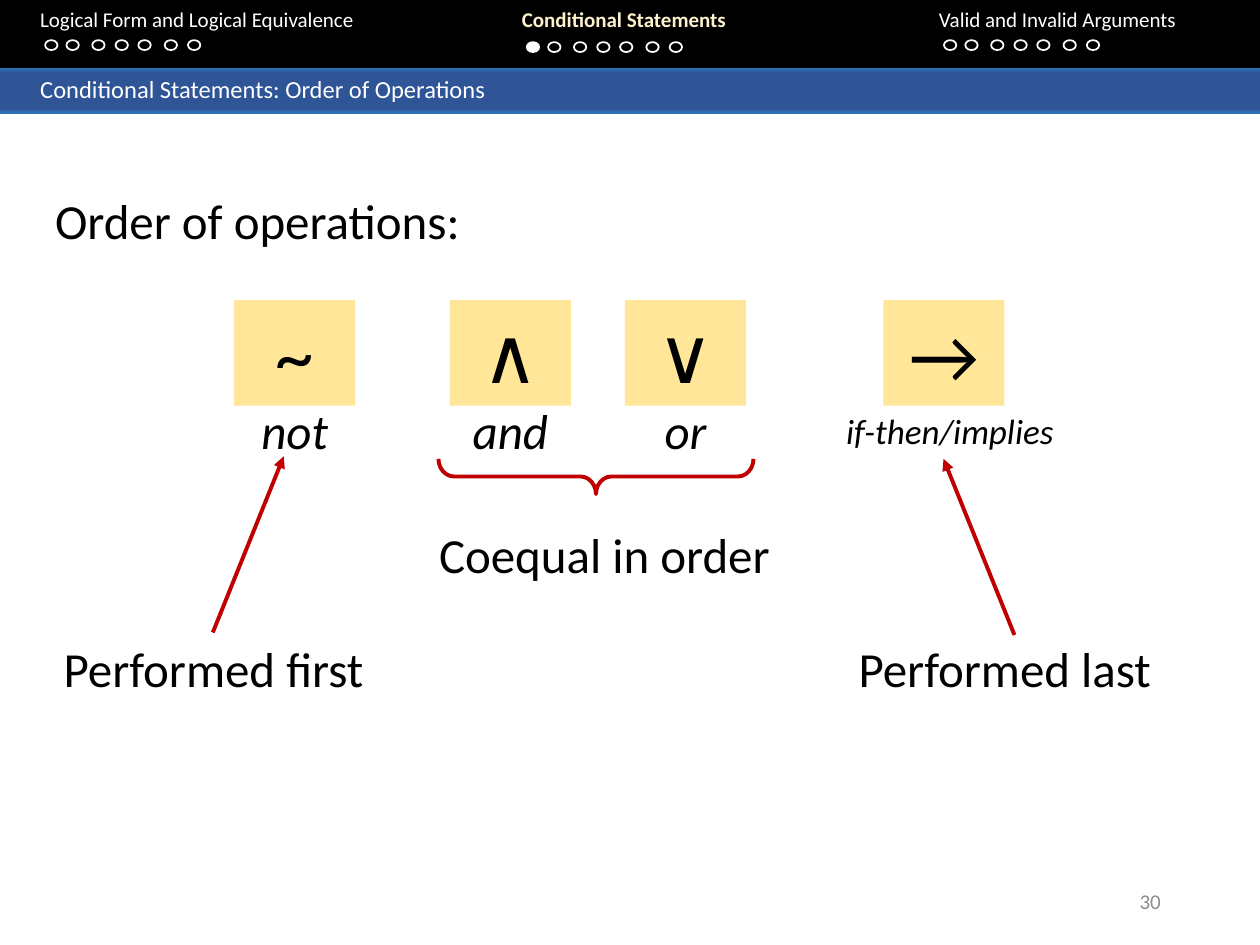
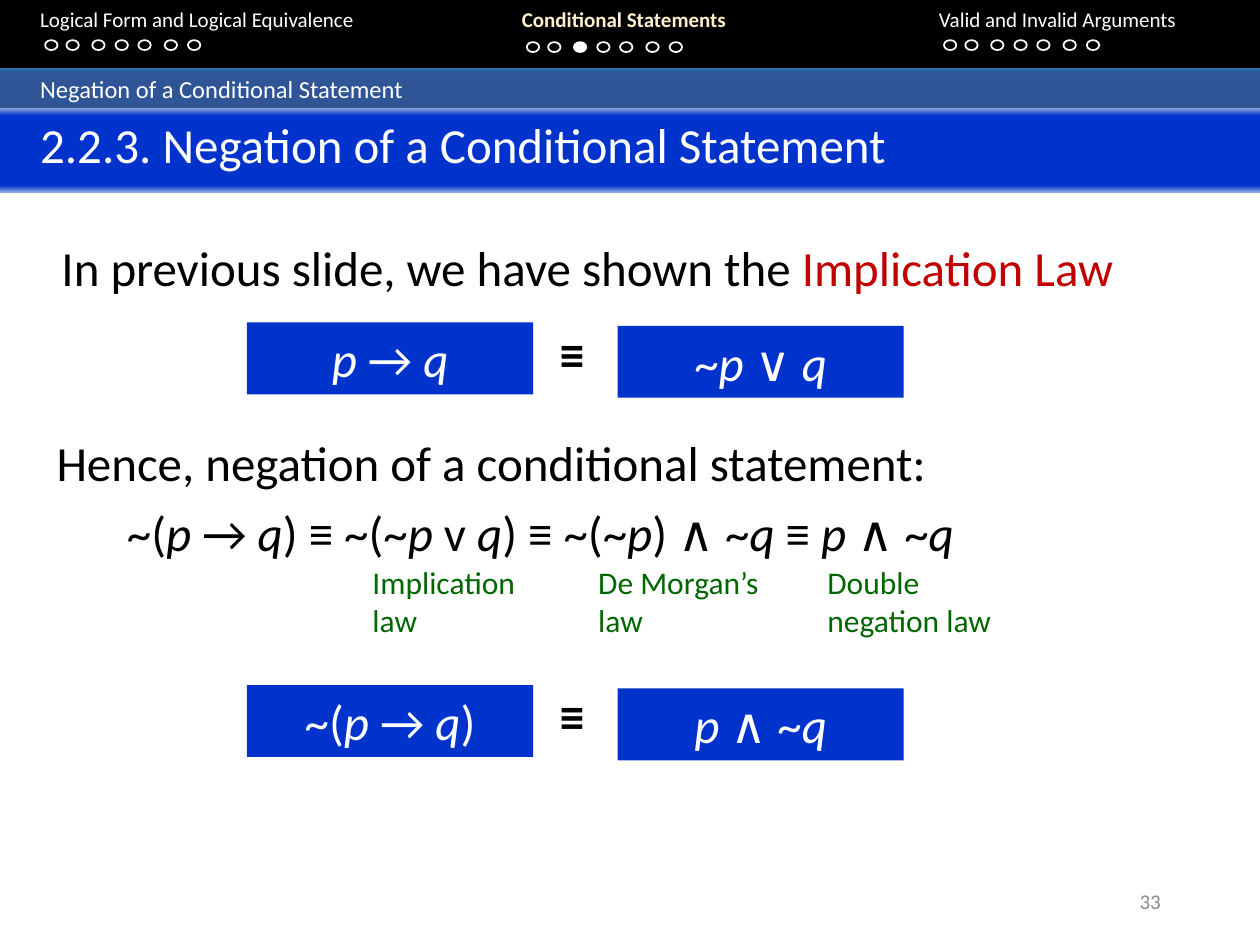
"""Build two slides on conditional statements: order of operations and negation."""
import dataclasses
import typing

import lxml.etree
import pptx
import pptx.dml.color
import pptx.enum.shapes
import pptx.enum.text
import pptx.oxml.ns
import pptx.util

Cm = pptx.util.Cm
Pt = pptx.util.Pt
SHAPE = pptx.enum.shapes.MSO_SHAPE
ALIGN = pptx.enum.text.PP_ALIGN
ANCHOR = pptx.enum.text.MSO_ANCHOR
qn = pptx.oxml.ns.qn

FONT = "Calibri"
COLORS = {
    "black": "000000",
    "white": "FFFFFF",
    "cream": "FFF2CC",
    "card": "FFE699",
    "red": "C00000",
    "green": "006600",
    "grey": "8C8C8C",
    "blue": "0033CC",
    "band": "2F5597",
    "band_edge": "2E75B6",
    "heading_edge": "8FAADC",
}
SECTION_STOPS = [(0, "band_edge"), (11, "band"), (91, "band"), (100, "band_edge")]
HEADING_STOPS = [(0, "heading_edge"), (9, "blue"), (92, "blue"), (100, "heading_edge")]
DOT_OFFSETS = [0, 0.43, 0.95, 1.42, 1.88, 2.41, 2.88]
TEXT_LEFT = 0.81
LINE_HEIGHT = 1.45


@dataclasses.dataclass
class Box:
    """A rectangle in centimetres."""
    left: float
    top: float
    width: float
    height: float

    def lengths(self) -> list[pptx.util.Length]:
        """Return the four values as slide lengths."""
        return [Cm(v) for v in (self.left, self.top, self.width, self.height)]


@dataclasses.dataclass
class Style:
    """The look of one paragraph; accent colours the marked parts instead of slanting them."""
    size: float = 28
    color: str = "black"
    align: typing.Any = ALIGN.LEFT
    bold: bool = False
    italic: bool = False
    accent: str | None = None


@dataclasses.dataclass
class Section:
    """A lecture section in the navigation bar."""
    label: str
    left: float


@dataclasses.dataclass
class Operator:
    """A logical symbol on a card with its reading below."""
    symbol: str
    left: float
    reading: str
    size: float = 28
    reading_top: float = 7.95
    reading_shift: float = 0


@dataclasses.dataclass
class Callout:
    """A remark with an arrow pointing from it to an operator."""
    text: str
    box: Box
    start: tuple[float, float]
    end: tuple[float, float]


@dataclasses.dataclass
class Equivalence:
    """Two formulas joined by the equivalence sign."""
    left_formula: str
    right_formula: str
    top: float


SECTIONS = [
    Section("Logical Form and Logical Equivalence", TEXT_LEFT),
    Section("Conditional Statements", 10.52),
    Section("Valid and Invalid Arguments", 18.93),
]
CURRENT_SECTION = SECTIONS[1]
OPERATORS = [
    Operator("~", 4.72, "not"),
    Operator("∧", 9.07, "and"),
    Operator("∨", 12.6, "or"),
    Operator("→", 17.81, "if-then/implies", 20, 8.13, 0.12),
]
CALLOUTS = [
    Callout("Performed first", Box(0.48, 12.75, 7.65, LINE_HEIGHT), (4.29, 12.75), (5.72, 9.2)),
    Callout("Performed last", Box(16.43, 12.75, 7.65, LINE_HEIGHT), (20.45, 12.8), (19.02, 9.25)),
]
EQUIVALENCES = [
    Equivalence("*p *→ *q", "~*p *∨ *q", 6.5),
    Equivalence("~(*p *→ *q*)", "*p *∧ ~*q", 13.81),
]
LAWS = [
    ("Implication law", 7.26, 3.66),
    ("De Morgan’s law", 11.81, 4.04),
    ("Double negation law", 16.43, 4.04),
]


def rgb(name: str) -> pptx.dml.color.RGBColor:
    """Look up a colour by name."""
    return pptx.dml.color.RGBColor.from_string(COLORS[name])


def write(sp, text: str, style: Style) -> None:
    """Write one paragraph, with parts between asterisks set apart."""
    tf = sp.text_frame
    tf.word_wrap = True
    tf.vertical_anchor = ANCHOR.TOP
    p = tf.paragraphs[0]
    p.alignment = style.align
    p.font.name = FONT
    p.font.size = Pt(style.size)
    p.font.bold = style.bold
    p.font.color.rgb = rgb(style.color)
    if style.italic:
        p.font.italic = True
    for i, part in enumerate(text.split("*")):
        if not part:
            continue
        r = p.add_run()
        r.text = part
        if i % 2 and style.accent:
            r.font.color.rgb = rgb(style.accent)
        elif i % 2:
            r.font.italic = True


def add_text(s, text: str, box: Box, style: Style):
    """Add a text box."""
    sp = s.shapes.add_textbox(*box.lengths())
    write(sp, text, style)
    return sp


def add_shape(s, kind, box: Box, fill: str | None = None,
              line: str | None = None, weight: float = 1):
    """Add a flat preset shape."""
    sp = s.shapes.add_shape(kind, *box.lengths())
    sp.shadow.inherit = False
    if fill:
        sp.fill.solid()
        sp.fill.fore_color.rgb = rgb(fill)
    else:
        sp.fill.background()
    if line:
        sp.line.color.rgb = rgb(line)
        sp.line.width = Pt(weight)
    else:
        sp.line.fill.background()
    return sp


def fill_band(sp, text: str, size: float, stops: list[tuple[int, str]]) -> None:
    """Give a band its vertical gradient and its text."""
    sp.fill.gradient()
    sp.fill.gradient_angle = 270
    stop_list = sp._element.spPr.find(".//" + qn("a:gsLst"))
    for stop in list(stop_list):
        stop_list.remove(stop)
    for percent, color in stops:
        stop = lxml.etree.SubElement(stop_list, qn("a:gs"), pos=str(percent * 1000))
        lxml.etree.SubElement(stop, qn("a:srgbClr"), val=COLORS[color])
    sp.text_frame.auto_size = pptx.enum.text.MSO_AUTO_SIZE.NONE
    sp.text_frame.margin_left = Cm(TEXT_LEFT)
    write(sp, text, Style(size, "white"))


def add_section(s, section: Section, active_dot: int) -> None:
    """Add a section label and its progress dots to the navigation bar."""
    current = section is CURRENT_SECTION
    style = Style(12, "cream" if current else "white", bold=current)
    sp = add_text(s, section.label, Box(section.left, 0, 7.5, 0.75), style)
    sp.text_frame.margin_left = 0
    for i, offset in enumerate(DOT_OFFSETS):
        box = Box(section.left + 0.1 + offset, 0.85 if current else 0.81, 0.25, 0.2)
        fill = "white" if current and i == active_dot else None
        add_shape(s, SHAPE.OVAL, box, fill, "white")


def add_slide(prs, title: str, number: int, active_dot: int):
    """Add a slide with the navigation bar, title band and page number."""
    s = prs.slides.add_slide(prs.slide_layouts[5])
    sp = s.shapes.title
    sp.left, sp.top, sp.width, sp.height = Box(0, 1.37, 25.4, 0.91).lengths()
    fill_band(sp, title, 14, SECTION_STOPS)
    add_shape(s, SHAPE.RECTANGLE, Box(0, -0.05, 25.4, 1.42), "black")
    for section in SECTIONS:
        add_section(s, section, active_dot)
    page = add_text(s, str(number), Box(17.93, 17.65, 5.72, 1.02),
                    Style(12, "grey", ALIGN.RIGHT))
    page.text_frame.vertical_anchor = ANCHOR.MIDDLE
    return s


def add_operator(s, op: Operator) -> None:
    """Add an operator card and its reading."""
    card = Box(op.left, 6.05, 2.44, 2.13)
    sp = add_shape(s, SHAPE.RECTANGLE, card, "card")
    write(sp, op.symbol, Style(44, align=ALIGN.CENTER))
    width = 4.78
    left = card.left + (card.width - width) / 2 + op.reading_shift
    add_text(s, op.reading, Box(left, op.reading_top, width, LINE_HEIGHT),
             Style(op.size, align=ALIGN.CENTER, italic=True))


def add_callout(s, callout: Callout) -> None:
    """Add a remark and its arrow."""
    add_text(s, callout.text, callout.box, Style(align=ALIGN.CENTER))
    ends = [Cm(v) for v in (*callout.start, *callout.end)]
    arrow = s.shapes.add_connector(pptx.enum.shapes.MSO_CONNECTOR.STRAIGHT, *ends)
    arrow.line.color.rgb = rgb("red")
    arrow.line.width = Pt(2.25)
    lxml.etree.SubElement(arrow.line._get_or_add_ln(), qn("a:tailEnd"), type="triangle")
    lxml.etree.SubElement(arrow._element.spPr, qn("a:effectLst"))


def add_equivalence(s, eq: Equivalence) -> None:
    """Add two formula boxes with the equivalence sign between them."""
    for formula, left, top in ((eq.left_formula, 4.98, eq.top),
                               (eq.right_formula, 12.45, eq.top + 0.07)):
        sp = add_shape(s, SHAPE.RECTANGLE, Box(left, top, 5.77, LINE_HEIGHT), "blue")
        write(sp, formula, Style(color="white", align=ALIGN.CENTER))
    add_text(s, "≡", Box(10.44, eq.top - 0.11, 2.18, LINE_HEIGHT),
             Style(align=ALIGN.CENTER, bold=True))


def build_order_slide(prs) -> None:
    """Build the slide on the order of operations."""
    s = add_slide(prs, "Conditional Statements: Order of Operations", 30, 0)
    add_text(s, "Order of operations:", Box(0.86, 3.71, 10.85, LINE_HEIGHT), Style())
    for op in OPERATORS:
        add_operator(s, op)
    for callout in CALLOUTS:
        add_callout(s, callout)
    add_text(s, "Coequal in order", Box(8.36, 10.44, 7.65, LINE_HEIGHT),
             Style(align=ALIGN.CENTER))
    brace = add_shape(s, SHAPE.LEFT_BRACE, Box(11.66, 6.43, 0.71, 6.35),
                      line="red", weight=2.25)
    brace.rotation = 270
    brace.adjustments[0] = 0.44


def build_negation_slide(prs) -> None:
    """Build the slide on negating a conditional statement."""
    s = add_slide(prs, "Negation of a Conditional Statement", 33, 2)
    heading = add_shape(s, SHAPE.RECTANGLE, Box(0, 2.18, 25.4, 1.7))
    fill_band(heading, "2.2.3. Negation of a Conditional Statement", 28, HEADING_STOPS)
    add_text(s, "In previous slide, we have shown the *Implication Law*",
             Box(0.99, 4.67, 22.66, LINE_HEIGHT), Style(accent="red"))
    add_text(s, "Hence, negation of a conditional statement:",
             Box(0.89, 8.59, 22.66, LINE_HEIGHT), Style())
    add_text(s, "~(*p *→ *q*) ≡ ~(~*p* v *q*) ≡ ~(~*p*) ∧ ~*q* ≡ *p* ∧ ~*q",
             Box(2.31, 10.01, 21.39, LINE_HEIGHT), Style())
    for law, left, width in LAWS:
        add_text(s, law, Box(left, 11.23, width, 1.8), Style(18, "green"))
    for eq in EQUIVALENCES:
        add_equivalence(s, eq)


def main() -> None:
    """Build and save the presentation."""
    prs = pptx.Presentation()
    prs.slide_width, prs.slide_height = Cm(25.4), Cm(19.05)
    build_order_slide(prs)
    build_negation_slide(prs)
    prs.save("out.pptx")


if __name__ == "__main__":
    main()
